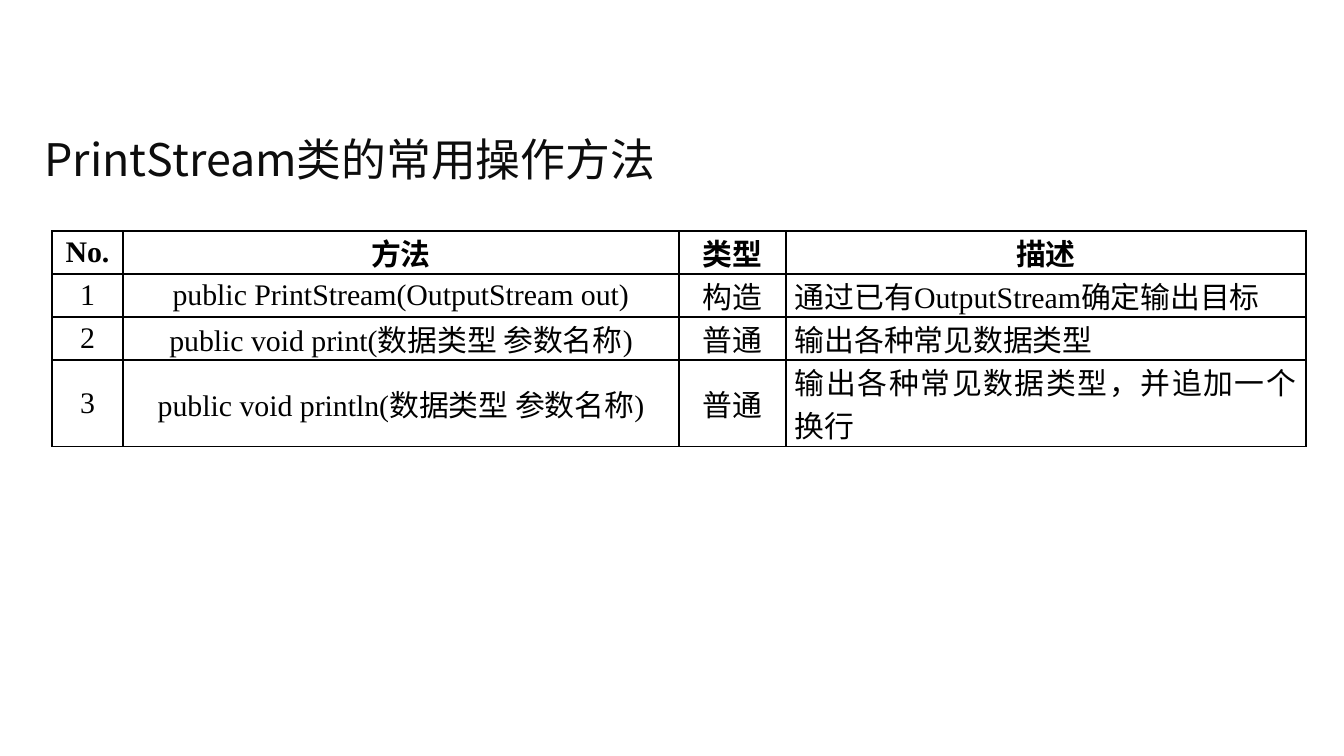
from dataclasses import dataclass

from lxml import etree
from pptx import Presentation
from pptx.dml.color import RGBColor
from pptx.enum.text import MSO_ANCHOR, PP_ALIGN
from pptx.oxml.ns import qn
from pptx.util import Emu, Pt

CENTER, JUSTIFY, LEFT = PP_ALIGN.CENTER, PP_ALIGN.JUSTIFY, PP_ALIGN.LEFT
MIDDLE = MSO_ANCHOR.MIDDLE

INK = RGBColor(0x0D, 0x0D, 0x0D)
BLACK = RGBColor(0x00, 0x00, 0x00)
SANS = "Noto Sans CJK SC"
SERIF = "Times New Roman"
EMU_PER_PX = 914400 / 134.4
TITLE_ONLY = 5


@dataclass(frozen=True)
class Column:
    heading: str
    width: int
    align: PP_ALIGN = CENTER


@dataclass(frozen=True)
class Method:
    signature: str
    kind: str
    description: str
    lines: int = 1


COLUMNS = [
    Column("No.", 71),
    Column("方法", 556),
    Column("类型", 107),
    Column("描述", 520, JUSTIFY),
]
METHODS = [
    Method("public PrintStream(OutputStream out)", "构造", "通过已有OutputStream确定输出目标"),
    Method("public void print(数据类型 参数名称)", "普通", "输出各种常见数据类型"),
    Method("public void println(数据类型 参数名称)", "普通", "输出各种常见数据类型，并追加一个换行", 2),
]
TABLE_LEFT, TABLE_TOP, LINE_HEIGHT = 52, 231, 43


def px(length: int) -> Emu:
    return Emu(round(length * EMU_PER_PX))


def write(frame, text: str, size: int, font: str, color: RGBColor,
          align: PP_ALIGN, bold: bool = False) -> None:
    para = frame.paragraphs[0]
    para.alignment = align
    span = para.add_run()
    span.text = text
    span.font.size = Pt(size)
    span.font.bold = bold
    span.font.color.rgb = color
    span.font.name = font
    # Chinese characters always use the sans face
    etree.SubElement(span.font._element, qn("a:ea"), typeface=SANS)


def add_borders(cell) -> None:
    properties = cell._tc.get_or_add_tcPr()
    for side in ("lnL", "lnR", "lnT", "lnB"):
        line = etree.SubElement(properties, qn(f"a:{side}"), w=str(Pt(1)))
        fill = etree.SubElement(line, qn("a:solidFill"))
        etree.SubElement(fill, qn("a:srgbClr"), val=str(BLACK))


def fill_cell(cell, text: str, align: PP_ALIGN, bold: bool) -> None:
    add_borders(cell)
    cell.fill.background()
    cell.vertical_anchor = MIDDLE
    cell.margin_left = cell.margin_right = px(9)
    cell.margin_top = cell.margin_bottom = 0
    write(cell.text_frame, text, 16, SERIF, BLACK, align, bold)


def add_title(page, text: str) -> None:
    title = page.shapes.title
    title.left, title.top, title.width, title.height = px(31), px(116), px(1281), px(86)
    title.text_frame.vertical_anchor = MIDDLE
    write(title.text_frame, text, 24, SANS, INK, LEFT)


def add_method_table(page, columns: list[Column], methods: list[Method]) -> None:
    line_counts = [1] + [method.lines for method in methods]
    table = page.shapes.add_table(
        len(line_counts), len(columns), px(TABLE_LEFT), px(TABLE_TOP),
        px(sum(column.width for column in columns)),
        px(LINE_HEIGHT * sum(line_counts)),
    ).table
    table.first_row = table.horz_banding = False
    for row, lines in zip(table.rows, line_counts):
        row.height = px(LINE_HEIGHT * lines)

    for index, column in enumerate(columns):
        table.columns[index].width = px(column.width)
        fill_cell(table.cell(0, index), column.heading, CENTER, True)

    for number, method in enumerate(methods, 1):
        values = (str(number), method.signature, method.kind, method.description)
        for index, (column, value) in enumerate(zip(columns, values)):
            fill_cell(table.cell(number, index), value, column.align, False)


def main() -> None:
    deck = Presentation()
    deck.slide_width, deck.slide_height = px(1344), px(756)
    page = deck.slides.add_slide(deck.slide_layouts[TITLE_ONLY])

    # Heading
    add_title(page, "PrintStream类的常用操作方法")
    # Method overview
    add_method_table(page, COLUMNS, METHODS)

    deck.save("out.pptx")


if __name__ == "__main__":
    main()
